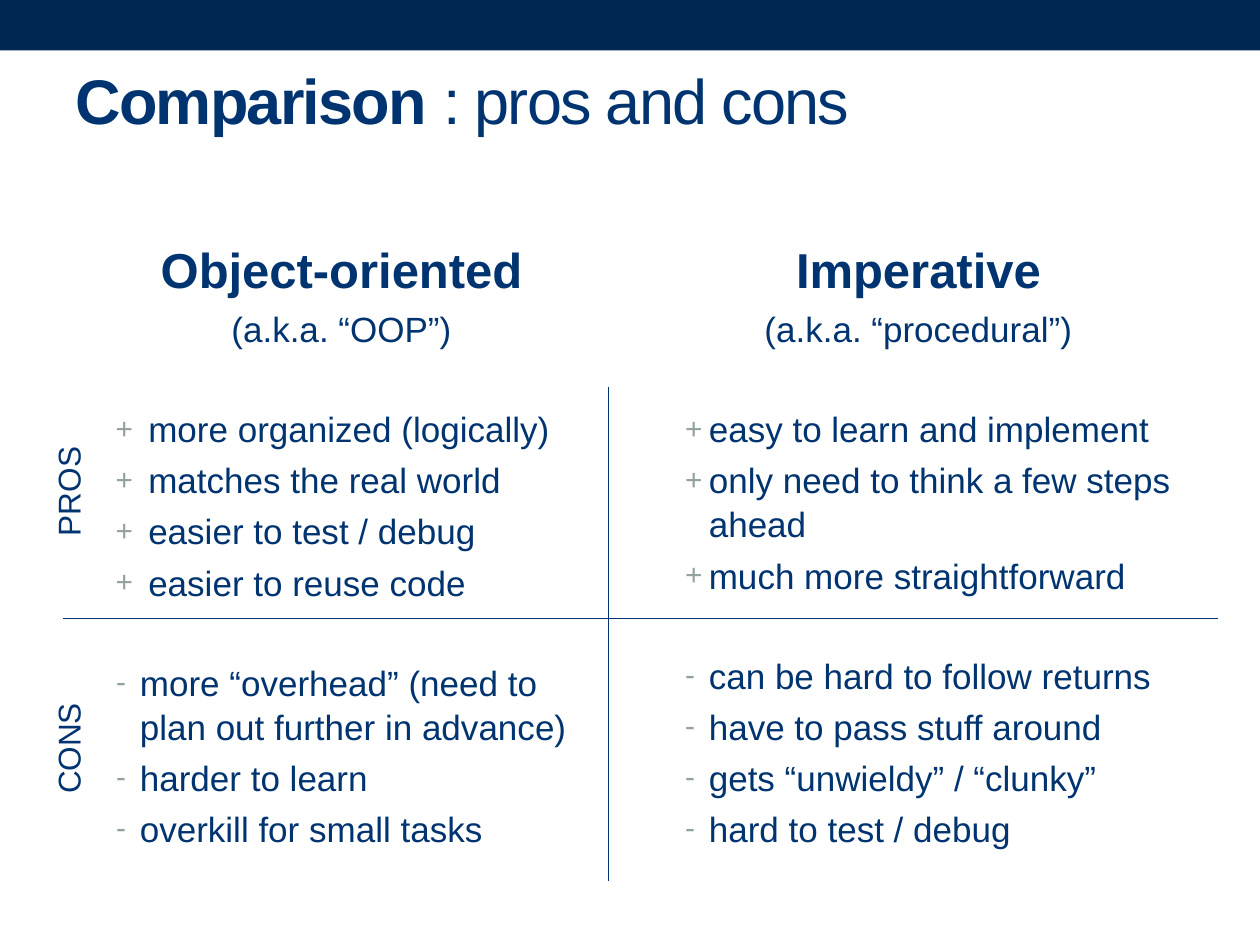
from lxml import etree
from pptx import Presentation
from pptx.dml.color import RGBColor
from pptx.enum.shapes import MSO_CONNECTOR, MSO_SHAPE
from pptx.enum.text import MSO_ANCHOR, PP_ALIGN
from pptx.oxml.ns import qn
from pptx.util import Cm, Pt

CENTER, LEFT = PP_ALIGN.CENTER, PP_ALIGN.LEFT
TOP, MIDDLE = MSO_ANCHOR.TOP, MSO_ANCHOR.MIDDLE
STRAIGHT = MSO_CONNECTOR.STRAIGHT
RECTANGLE = MSO_SHAPE.RECTANGLE

COLORS = {"bar": "002652", "text": "003470", "bullet": "93A299"}
SECTION_GAP = Pt(32)
ITEM_GAP = Pt(4)


def add_box(left, top, width, height, anchor=TOP):
    box = slide.shapes.add_textbox(Cm(left), Cm(top), Cm(width), Cm(height))
    box.text_frame.word_wrap = True
    box.text_frame.vertical_anchor = anchor
    return box


def add_run(paragraph, text, size, bold=False):
    run = paragraph.add_run()
    run.text = text
    font_values = {"name": "Arial", "size": Pt(size), "bold": bold}
    for name, value in font_values.items():
        setattr(run.font, name, value)
    run.font.color.rgb = RGBColor.from_string(COLORS["text"])
    return run


presentation = Presentation()
presentation.slide_width = Cm(25.4)
presentation.slide_height = Cm(19.05)
slide = presentation.slides.add_slide(presentation.slide_layouts[6])

# Top bar and title
bar = slide.shapes.add_shape(RECTANGLE, 0, 0, presentation.slide_width, Cm(1.02))
bar.shadow.inherit = False
bar.fill.solid()
bar.fill.fore_color.rgb = RGBColor.from_string(COLORS["bar"])
bar.line.fill.background()

title = add_box(1.27, 0.64, 22.86, 2.74, MIDDLE).text_frame.paragraphs[0]
for text, bold in [("Comparison ", True), (": pros and cons", False)]:
    run = add_run(title, text, 36, bold)
    run.font._element.set("spc", "-100")

# Columns: each list has a bullet sign, text indent, hanging indent and items
columns = [
    (1.27, "Object-oriented", "(a.k.a. “OOP”)", [
        ("+", 1.47, 0.66, ["more organized (logically)", "matches the real world",
                           "easier to test / debug", "easier to reuse code"]),
        ("-", 1.3, 0.48, ["more “overhead” (need to plan out further in advance)",
                          "harder to learn", "overkill for small tasks"]),
    ]),
    (12.9, "Imperative", "(a.k.a. “procedural”)", [
        ("+", 1.14, 0.48, ["easy to learn and implement",
                           "only need to think a few steps ahead",
                           "much more straightforward"]),
        ("-", 1.14, 0.48, ["can be hard to follow returns", "have to pass stuff around",
                           "gets “unwieldy” / “clunky”", "hard to test / debug"]),
    ]),
]
for left, heading, alias, lists in columns:
    frame = add_box(left, 4.65, 11.23, 13.11).text_frame
    heading_paragraph = frame.paragraphs[0]
    add_run(heading_paragraph, heading, 28, True)
    alias_paragraph = frame.add_paragraph()
    add_run(alias_paragraph, alias, 20)
    alias_paragraph.space_before = ITEM_GAP
    for paragraph in (heading_paragraph, alias_paragraph):
        paragraph.alignment = CENTER
        paragraph.line_spacing = 1.05

    for sign, indent, hanging, items in lists:
        for index, item in enumerate(items):
            paragraph = frame.add_paragraph()
            properties = paragraph._p.get_or_add_pPr()
            properties.set("marL", str(Cm(indent)))
            properties.set("indent", str(-Cm(hanging)))
            bullet_color = etree.SubElement(properties, qn("a:buClr"))
            etree.SubElement(bullet_color, qn("a:srgbClr"), val=COLORS["bullet"])
            etree.SubElement(properties, qn("a:buSzPct"), val="85000")
            etree.SubElement(properties, qn("a:buFont"), typeface="Arial")
            etree.SubElement(properties, qn("a:buChar"), char=sign)
            paragraph_values = {
                "alignment": LEFT,
                "line_spacing": 1.05,
                "space_before": ITEM_GAP if index else SECTION_GAP,
            }
            for name, value in paragraph_values.items():
                setattr(paragraph, name, value)
            add_run(paragraph, item, 20)

# Dividing cross
for ends in [(12.27, 7.8, 12.27, 17.75), (24.56, 12.47, 1.27, 12.47)]:
    divider = slide.shapes.add_connector(STRAIGHT, *[Cm(end) for end in ends])
    divider.line.width = Pt(0.75)
    divider.line.color.rgb = RGBColor.from_string(COLORS["text"])
    etree.SubElement(divider._element.spPr, qn("a:effectLst"))

# Row labels, read upwards
row_labels = add_box(-2.41, 11.96, 7.57, 1.02)
row_labels.rotation = 270
label_paragraph = row_labels.text_frame.paragraphs[0]
tabs = etree.SubElement(label_paragraph._p.get_or_add_pPr(), qn("a:tabLst"))
etree.SubElement(tabs, qn("a:tab"), pos=str(Cm(5.2)), algn="l")
add_run(label_paragraph, "CONS\tPROS", 18)

presentation.save("out.pptx")
